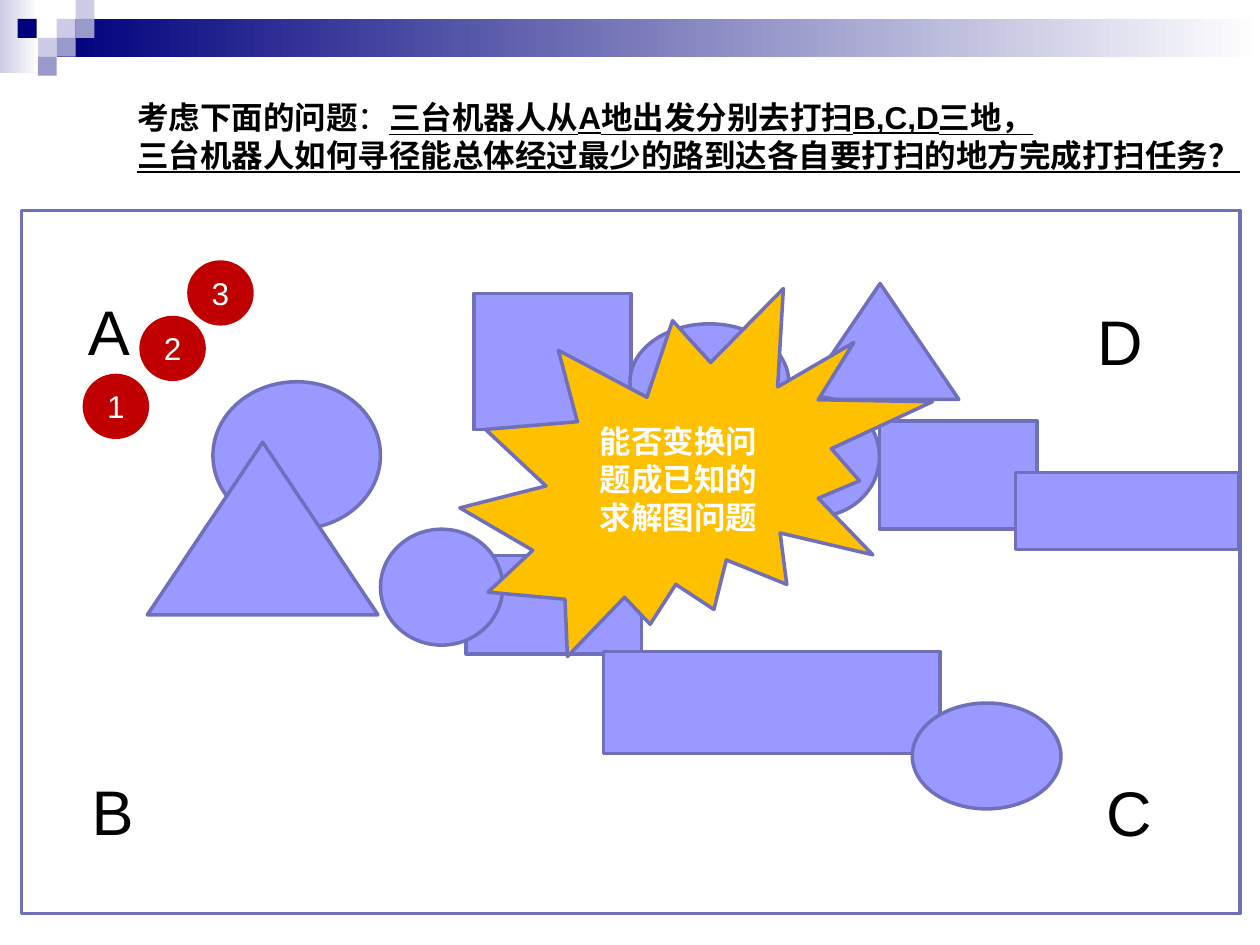
from pptx import Presentation
from pptx.dml.color import RGBColor
from pptx.enum.shapes import MSO_SHAPE as SHAPE
from pptx.enum.text import MSO_ANCHOR as ANCHOR, MSO_AUTO_SIZE as AUTO, PP_ALIGN as ALIGN
from pptx.util import Inches, Pt

OUTLINE = "6F6FBC"
OBSTACLE = "9999FF"
RED = "C00000"


def add_run(paragraph, text, size, color, bold=False, underline=False):
    run = paragraph.add_run()
    run.text = text
    run.font.name = "Arial"
    run.font.size = Pt(size)
    run.font.bold = bold
    run.font.underline = underline
    run.font.color.rgb = RGBColor.from_string(color)


def add_figure(kind, box, colors, outline=None):
    figure = slide.shapes.add_shape(kind, *map(Inches, box))
    figure.shadow.inherit = False
    if len(colors) == 2:
        figure.fill.gradient()
        figure.fill.gradient_angle = 0
        for stop, color in zip(figure.fill.gradient_stops, colors):
            stop.color.rgb = RGBColor.from_string(color)
    else:
        figure.fill.solid()
        figure.fill.fore_color.rgb = RGBColor.from_string(colors[0])
    if outline:
        figure.line.color.rgb = RGBColor.from_string(outline)
        figure.line.width = Pt(2)
    else:
        figure.line.fill.background()
    return figure


prs = Presentation()
prs.slide_width, prs.slide_height = Inches(10), Inches(7.5)
slide = prs.slides.add_slide(prs.slide_layouts[5])

add_figure(SHAPE.RECTANGLE, (0, 0, 0.31, 0.58), ["CCCCE6", "FFFFFF"])
add_figure(SHAPE.RECTANGLE, (0.45, 0.15, 9.55, 0.3), ["00007D", "FFFFFF"])
mosaic = [
    (0.45, 0.15, "CCCCE6"), (0.6, 0, "CCCCE6"), (0.6, 0.15, "9999CC"),
    (0.3, 0.3, "CCCCE6"), (0.14, 0.15, "00007D"), (0.45, 0.3, "9999CC"),
    (0.3, 0.45, "9999CC"),
]
for left, top, color in mosaic:
    add_figure(SHAPE.RECTANGLE, (left, top, 0.15, 0.15), [color])

add_figure(SHAPE.RECTANGLE, (0.17, 1.67, 9.67, 5.58), ["FFFFFF"], OUTLINE)

obstacles = [
    (SHAPE.OVAL, (1.69, 3.03, 1.33, 1.17)),
    (SHAPE.ISOSCELES_TRIANGLE, (1.17, 3.51, 1.83, 1.37)),
    (SHAPE.RECTANGLE, (3.76, 2.33, 1.25, 1.08)),
    (SHAPE.OVAL, (5, 2.57, 1.26, 0.92)),
    (SHAPE.RECTANGLE, (3.7, 4.41, 1.39, 0.78)),
    (SHAPE.RECTANGLE, (4.79, 5.17, 2.67, 0.81)),
    (SHAPE.OVAL, (3.02, 4.2, 0.97, 0.92)),
    (SHAPE.ISOSCELES_TRIANGLE, (6.36, 2.25, 1.25, 0.92)),
    (SHAPE.OVAL, (5.98, 3.15, 1, 0.95)),
    (SHAPE.RECTANGLE, (6.98, 3.34, 1.25, 0.86)),
    (SHAPE.OVAL, (7.24, 5.58, 1.18, 0.84)),
    (SHAPE.RECTANGLE, (8.06, 3.75, 1.77, 0.61)),
]
for kind, box in obstacles:
    add_figure(kind, box, [OBSTACLE], OUTLINE)

places = [("A", 0.6, 2.27, 0.53), ("B", 0.63, 6.08, 0.53),
          ("D", 8.61, 2.35, 0.56), ("C", 8.68, 6.09, 0.56)]
for name, left, top, width in places:
    place = slide.shapes.add_textbox(Inches(left), Inches(top), Inches(width), Inches(0.7))
    place.text_frame.word_wrap = False
    place.text_frame.auto_size = AUTO.SHAPE_TO_FIT_TEXT
    add_run(place.text_frame.paragraphs[0], name, 36, "000000")

for number, left, top in [("3", 1.5, 2.08), ("1", 0.67, 2.98), ("2", 1.12, 2.52)]:
    robot = add_figure(SHAPE.OVAL, (left, top, 0.5, 0.49), [RED], RED)
    robot.text_frame.vertical_anchor = ANCHOR.MIDDLE
    robot.text_frame.paragraphs[0].alignment = ALIGN.CENTER
    add_run(robot.text_frame.paragraphs[0], number, 18, "FFFFFF")

problem = slide.shapes.title
problem.left, problem.top = Inches(0.99), Inches(0.73)
problem.width, problem.height = Inches(8.95), Inches(0.7)
statement = problem.text_frame
statement.word_wrap = False
statement.auto_size = AUTO.SHAPE_TO_FIT_TEXT
statement.vertical_anchor = ANCHOR.TOP
problem_lines = [
    [("考虑下面的问题", True, False), ("：", False, False),
     ("三台机器人从A地出发分别去打扫B,C,D三地，", True, True)],
    [("三台机器人如何寻径能总体经过最少的路到达各自要打扫的地方完成打扫任务？", True, True)],
]
statement.add_paragraph()
for paragraph, pieces in zip(statement.paragraphs, problem_lines):
    paragraph.alignment = ALIGN.LEFT
    for text, bold, underline in pieces:
        add_run(paragraph, text, 18, "000000", bold, underline)

hint = add_figure(SHAPE.EXPLOSION2, (3.65, 2.29, 3.75, 2.92), ["FFC000"], OUTLINE)
hint.text_frame.word_wrap = True
hint.text_frame.vertical_anchor = ANCHOR.MIDDLE
hint.text_frame.paragraphs[0].alignment = ALIGN.CENTER
add_run(hint.text_frame.paragraphs[0], "能否变换问题成已知的求解图问题", 18, "FFFFFF", True)

prs.save("out.pptx")
